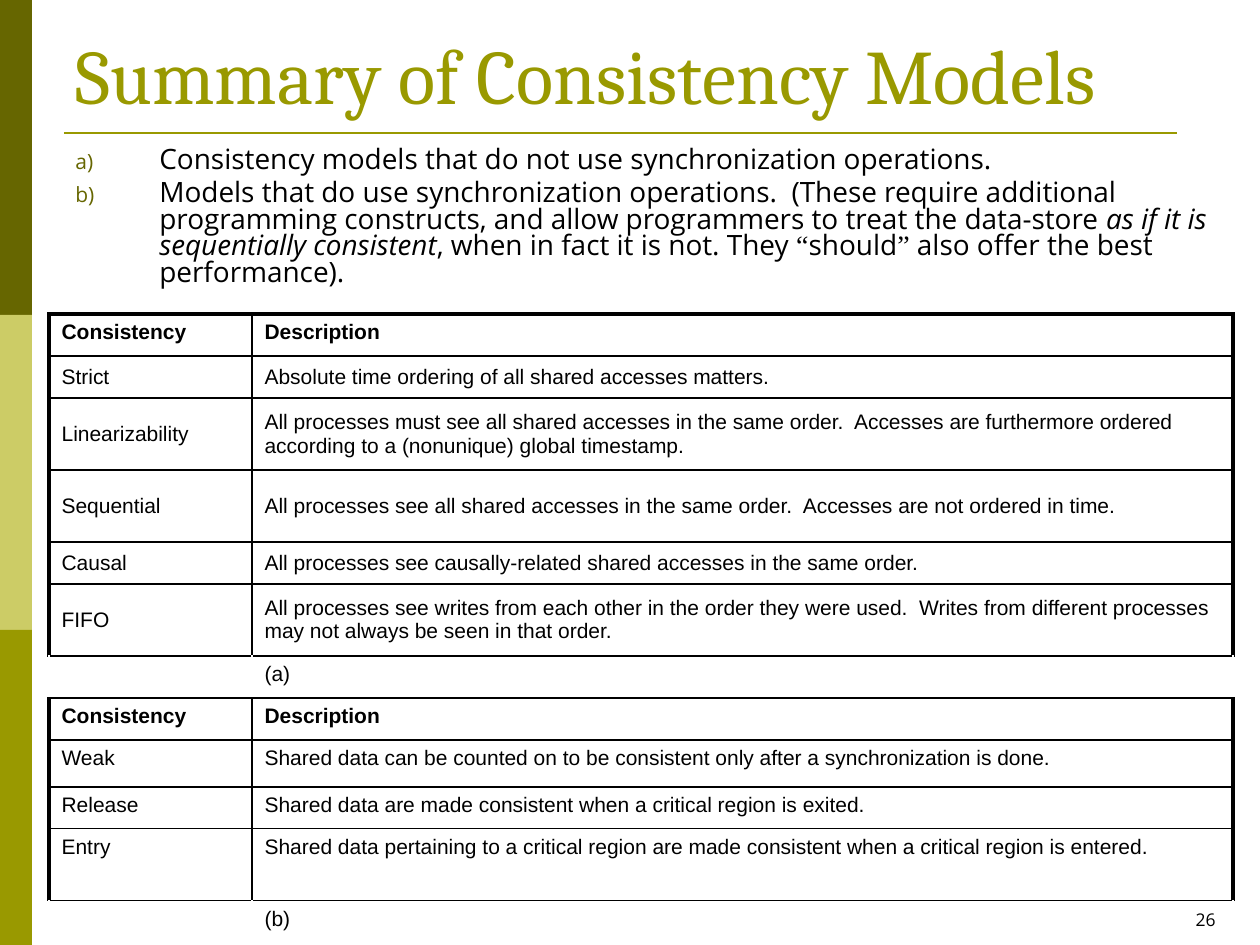
from lxml import etree
from pptx import Presentation
from pptx.dml.color import RGBColor
from pptx.enum.shapes import MSO_CONNECTOR, MSO_SHAPE
from pptx.enum.text import MSO_ANCHOR, PP_ALIGN
from pptx.oxml.ns import qn
from pptx.util import Pt

RECT, STRAIGHT = MSO_SHAPE.RECTANGLE, MSO_CONNECTOR.STRAIGHT
TOP, MIDDLE, BOTTOM = MSO_ANCHOR.TOP, MSO_ANCHOR.MIDDLE, MSO_ANCHOR.BOTTOM
LEFT, RIGHT = PP_ALIGN.LEFT, PP_ALIGN.RIGHT
PX = 914400 // 126
COLORS = {"dark": "666600", "light": "CCCC66", "olive": "999900", "text": "000000"}
THIN, THICK = 1, 2.25

POINTS = [
    [("Consistency models that do not use synchronization operations.", "Open Sans", False)],
    [
        ("Models that do use synchronization operations.  (These require additional programming "
         "constructs, and allow programmers to treat the data-store ", "Open Sans", False),
        ("as if it is sequentially consistent", "Open Sans", True),
        (", when in fact it is not. They ", "Open Sans", False),
        ("“", "Times New Roman", False),
        ("should", "Open Sans", False),
        ("”", "Times New Roman", False),
        (" also offer the best performance).", "Open Sans", False),
    ],
]
HEADER = ("header", 42, "Consistency", "Description")
ROWS = [
    HEADER,
    ("middle", 42, "Strict", "Absolute time ordering of all shared accesses matters."),
    ("middle", 72, "Linearizability",
     "All processes must see all shared accesses in the same order.  Accesses are furthermore "
     "ordered according to a (nonunique) global timestamp."),
    ("middle", 72, "Sequential",
     "All processes see all shared accesses in the same order.  Accesses are not ordered in time."),
    ("middle", 42, "Causal",
     "All processes see causally-related shared accesses in the same order."),
    ("middle", 72, "FIFO",
     "All processes see writes from each other in the order they were used.  Writes from "
     "different processes may not always be seen in that order."),
    ("caption", 42, "", "(a)"),
    HEADER,
    ("top", 47, "Weak",
     "Shared data can be counted on to be consistent only after a synchronization is done."),
    ("top", 42, "Release", "Shared data are made consistent when a critical region is exited."),
    ("top", 72, "Entry",
     "Shared data pertaining to a critical region are made consistent when a critical region "
     "is entered."),
    ("caption", 42, "", "(b)"),
]


def rgb(name):
    """Return the named colour."""
    return RGBColor.from_string(COLORS[name])


def emu(*lengths):
    """Turn px lengths into EMU."""
    return [n * PX for n in lengths]


def style(r, size, font, color="text", bold=False, italic=False):
    """Format one run."""
    r.font.size, r.font.name = Pt(size), font
    r.font.bold, r.font.italic = bold, italic
    r.font.color.rgb = rgb(color)


def add_box(s, box, anchor=TOP):
    """Add a wrapping text box and return its text frame."""
    tf = s.shapes.add_textbox(*emu(*box)).text_frame
    tf.word_wrap, tf.vertical_anchor = True, anchor
    return tf


def add_label(s, box, text, size, font, color="text", align=LEFT, anchor=TOP):
    """Add a single-run text box."""
    p = add_box(s, box, anchor).paragraphs[0]
    p.text, p.alignment = text, align
    style(p.runs[0], size, font, color)


def add_sidebar(s, box):
    """Stack three equal colour bands in the box."""
    x, y, w, h = box
    for i, color in enumerate(("dark", "light", "olive")):
        sp = s.shapes.add_shape(RECT, *emu(x, y + i * h // 3, w, h // 3))
        sp.shadow.inherit = False
        sp.fill.solid()
        sp.fill.fore_color.rgb = rgb(color)
        sp.line.fill.background()


def add_heading(s, box):
    """Add the title and the rule beneath it."""
    x, y, w, h = box
    add_label(s, box, "Summary of Consistency Models", 44, "Cambria", "olive", anchor=BOTTOM)
    rule_y = y + h + 7
    line = s.shapes.add_connector(STRAIGHT, *emu(x + 1, rule_y, x + 1114, rule_y))
    line.line.color.rgb, line.line.width = rgb("olive"), Pt(1.5)
    etree.SubElement(line._element.spPr, qn("a:effectLst"))


def add_points(s, box):
    """Add the lettered list."""
    tf = add_box(s, box)
    for i, runs in enumerate(POINTS):
        p = tf.add_paragraph() if i else tf.paragraphs[0]
        p.line_spacing, p.space_before = 0.8, Pt(3.2)
        pPr = p._p.get_or_add_pPr()
        pPr.set("marL", str(84 * PX))
        pPr.set("indent", str(-84 * PX))
        clr = etree.SubElement(pPr, qn("a:buClr"))
        etree.SubElement(clr, qn("a:srgbClr"), val=COLORS["dark"])
        etree.SubElement(pPr, qn("a:buSzPct"), val="75000")
        etree.SubElement(pPr, qn("a:buFont"), typeface="Open Sans")
        etree.SubElement(pPr, qn("a:buAutoNum"), type="alphaLcParenR")
        for text, font, italic in runs:
            r = p.add_run()
            r.text = text
            style(r, 16, font, italic=italic)


def set_borders(cell, widths):
    """Draw the cell sides given as a tag-to-points dict."""
    tcPr = cell._tc.get_or_add_tcPr()
    for i, (side, width) in enumerate(widths.items()):
        ln = etree.Element(qn(f"a:{side}"), w=str(Pt(width)))
        fill = etree.SubElement(ln, qn("a:solidFill"))
        etree.SubElement(fill, qn("a:srgbClr"), val=COLORS["text"])
        tcPr.insert(i, ln)


def fill_cell(cell, text, kind):
    """Write and format one table cell."""
    cell.fill.background()
    cell.vertical_anchor = MIDDLE if kind == "middle" else TOP
    p = cell.text_frame.paragraphs[0]
    p.space_before = Pt(2.4)
    if text:
        p.text = text
        style(p.runs[0], 12, "Arial", bold=kind == "header")
    else:
        etree.SubElement(p._p, qn("a:endParaRPr"), sz="1200")


def add_models_table(s, box):
    """Add the two captioned groups of consistency models as one table."""
    x, y, w, h = box
    table = s.shapes.add_table(len(ROWS), 2, *emu(x, y, w, h)).table
    table.first_row = table.horz_banding = False
    for col, width in zip(table.columns, (203, w - 203)):
        col.width = width * PX
    for i, (kind, height, *texts) in enumerate(ROWS):
        table.rows[i].height = height * PX
        for j, text in enumerate(texts):
            cell = table.cell(i, j)
            fill_cell(cell, text, kind)
            sides = {}
            if kind != "caption":
                sides["lnL"] = THIN if j else THICK
                sides["lnR"] = THICK if j else THIN
            sides["lnT"] = THIN if i else THICK
            if i < len(ROWS) - 1:
                sides["lnB"] = THIN
            set_borders(cell, sides)


def main():
    """Build and save the slide."""
    prs = Presentation()
    prs.slide_width, prs.slide_height = emu(1260, 945)
    s = prs.slides.add_slide(prs.slide_layouts[6])
    add_sidebar(s, (0, 0, 32, 945))
    add_heading(s, (63, 21, 1166, 105))
    add_points(s, (63, 142, 1166, 185))
    add_models_table(s, (49, 314, 1184, sum(row[1] for row in ROWS)))
    add_label(s, (966, 903, 262, 42), "26", 10, "Open Sans", align=RIGHT)
    prs.save("out.pptx")


if __name__ == "__main__":
    main()
